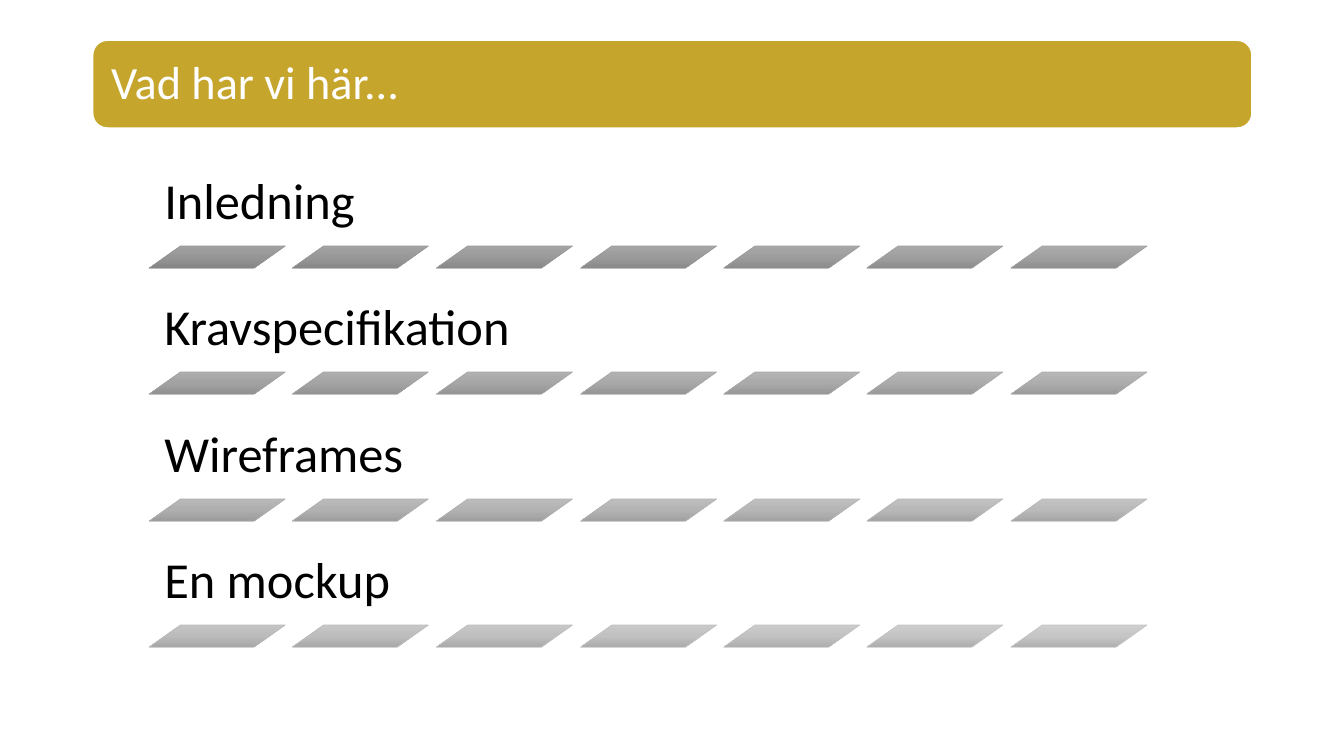
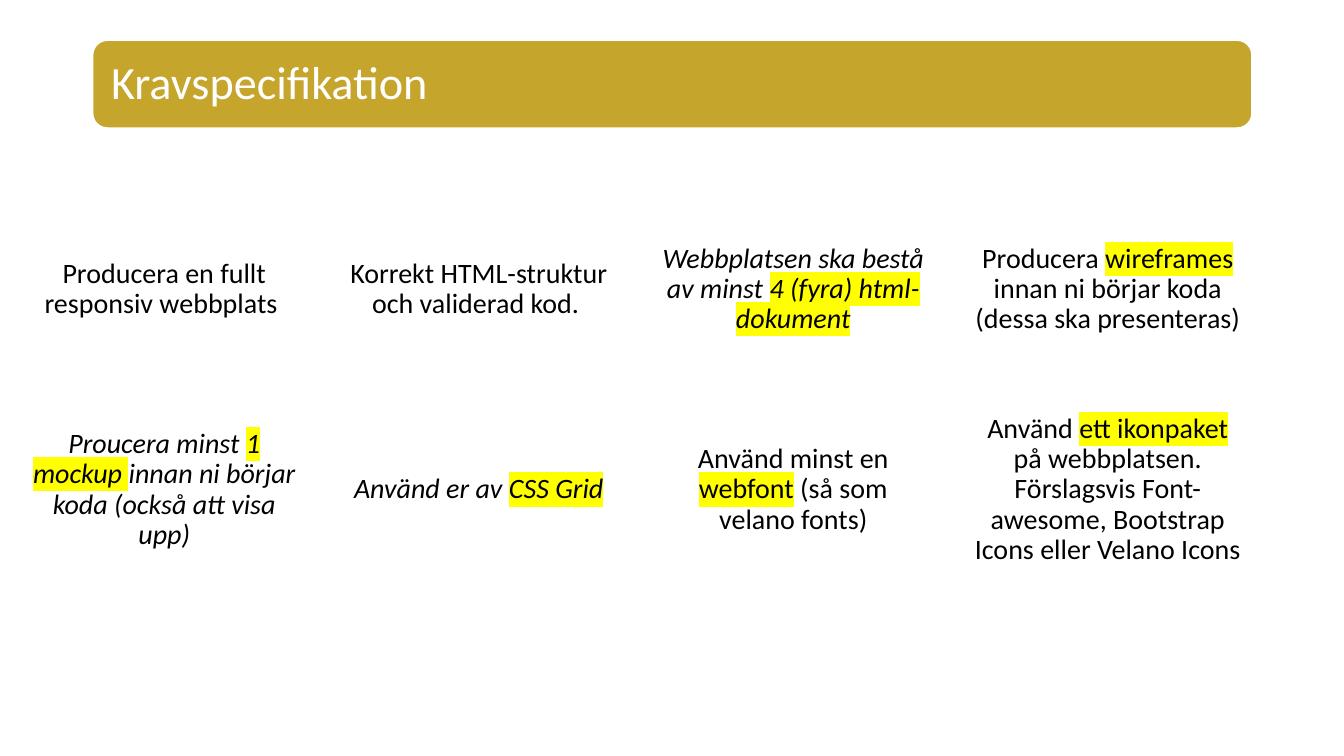
from copy import deepcopy

from lxml.etree import SubElement
from pptx import Presentation
from pptx.dml.color import RGBColor
from pptx.enum.shapes import MSO_SHAPE
from pptx.enum.text import MSO_ANCHOR, PP_ALIGN
from pptx.oxml.ns import qn
from pptx.util import Pt

PX = 9144
FONT = "Calibri"
GOLD, WHITE, BLACK, YELLOW = "C6A52D", "FFFFFF", "000000", "FFFF00"
color = RGBColor.from_string


def write(box, pieces, size, ink, margin, anchor, align=PP_ALIGN.LEFT, italic=False):
    frame = box.text_frame
    frame.word_wrap = True
    frame.vertical_anchor = anchor
    frame.margin_left = frame.margin_right = margin * PX
    frame.margin_top = frame.margin_bottom = margin * PX
    para = frame.paragraphs[0]
    para.alignment = align
    para.line_spacing = 0.9
    for index, piece in enumerate(pieces):
        span = para.add_run()
        span.text = piece
        span.font.name = FONT
        span.font.size = Pt(size)
        span.font.italic = italic
        span.font.color.rgb = color(ink)
        if index % 2:
            properties = span.font._element
            highlight = SubElement(properties, qn("a:highlight"))
            SubElement(highlight, qn("a:srgbClr"), val=YELLOW)
            properties.find(qn("a:solidFill")).addnext(highlight)


def add_titled_page(title):
    page = deck.slides.add_slide(deck.slide_layouts[6])
    band = page.shapes.add_shape(
        MSO_SHAPE.ROUNDED_RECTANGLE, 92 * PX, 40 * PX, 1150 * PX, 87 * PX)
    band.shadow.inherit = False
    band.fill.solid()
    band.fill.fore_color.rgb = color(GOLD)
    band.line.color.rgb = color(WHITE)
    band.line.width = Pt(1)
    write(band, [title], 33, WHITE, 14, MSO_ANCHOR.MIDDLE)
    return page


deck = Presentation()
deck.slide_width = 1280 * 9525
deck.slide_height = 720 * 9525

page = add_titled_page("Vad har vi här...")
topics = ["Inledning", "Kravspecifikation", "Wireframes", "En mockup"]
STRIPES = 7
LAST = len(topics) * STRIPES - 1
GRAYS = [(0, 161, 206), (0.5, 150, 198), (1, 133, 176)]

for row, topic in enumerate(topics):
    top = 244 + round(row * 376 / 3)
    box = page.shapes.add_textbox(148 * PX, (top - 92) * PX, 1011 * PX, 92 * PX)
    write(box, [topic], 36, BLACK, 15, MSO_ANCHOR.BOTTOM)
    for column in range(STRIPES):
        left = 148 + round(column * 855 / 6)
        stripe = page.shapes.add_shape(
            MSO_SHAPE.PARALLELOGRAM, left * PX, top * PX, 135 * PX, 22 * PX)
        stripe.adjustments[0] = 1.41
        stripe.shadow.inherit = False
        stripe.fill.gradient()
        stripe.fill.gradient_angle = 270
        stops = stripe._element.spPr.find(qn("a:gradFill")).find(qn("a:gsLst"))
        stops.insert(1, deepcopy(stops[0]))
        step = (row * STRIPES + column) / LAST
        for stop, (position, dark, light) in zip(stripe.fill.gradient_stops, GRAYS):
            gray = round(dark + (light - dark) * step)
            stop.position = position
            stop.color.rgb = color(f"{gray:02X}" * 3)
            if position == 0.5:
                stripe.line.color.rgb = color(f"{gray:02X}" * 3)
        stripe.line.width = Pt(0.5)

page = add_titled_page("Kravspecifikation")
requirements = [
    (False, ["Producera en fullt responsiv webbplats "]),
    (False, ["Korrekt HTML-struktur och validerad kod. "]),
    (True, ["Webbplatsen ska bestå av minst ", "4 (fyra) html-dokument"]),
    (False, ["Producera ", "wireframes", " innan ni börjar koda (dessa ska presenteras)"]),
    (True, ["Proucera minst ", "1 mockup ", "innan ni börjar koda (också att visa upp)"]),
    (True, ["Använd er av ", "CSS Grid"]),
    (False, ["Använd minst en ", "webfont", " (så som velano fonts)"]),
    (False, ["Använd ", "ett ikonpaket ",
             "på webbplatsen. Förslagsvis Font-awesome, Bootstrap Icons eller Velano Icons"]),
]
for index, (italic, pieces) in enumerate(requirements):
    row, column = divmod(index, 4)
    card = page.shapes.add_shape(
        MSO_SHAPE.RECTANGLE,
        (21 + column * 312) * PX, (202 + row * 199) * PX, 284 * PX, 170 * PX)
    card.shadow.inherit = False
    card.fill.solid()
    card.fill.fore_color.rgb = color(WHITE)
    card.line.fill.background()
    write(card, pieces, 20, BLACK, 8, MSO_ANCHOR.MIDDLE, PP_ALIGN.CENTER, italic)

deck.save("out.pptx")
